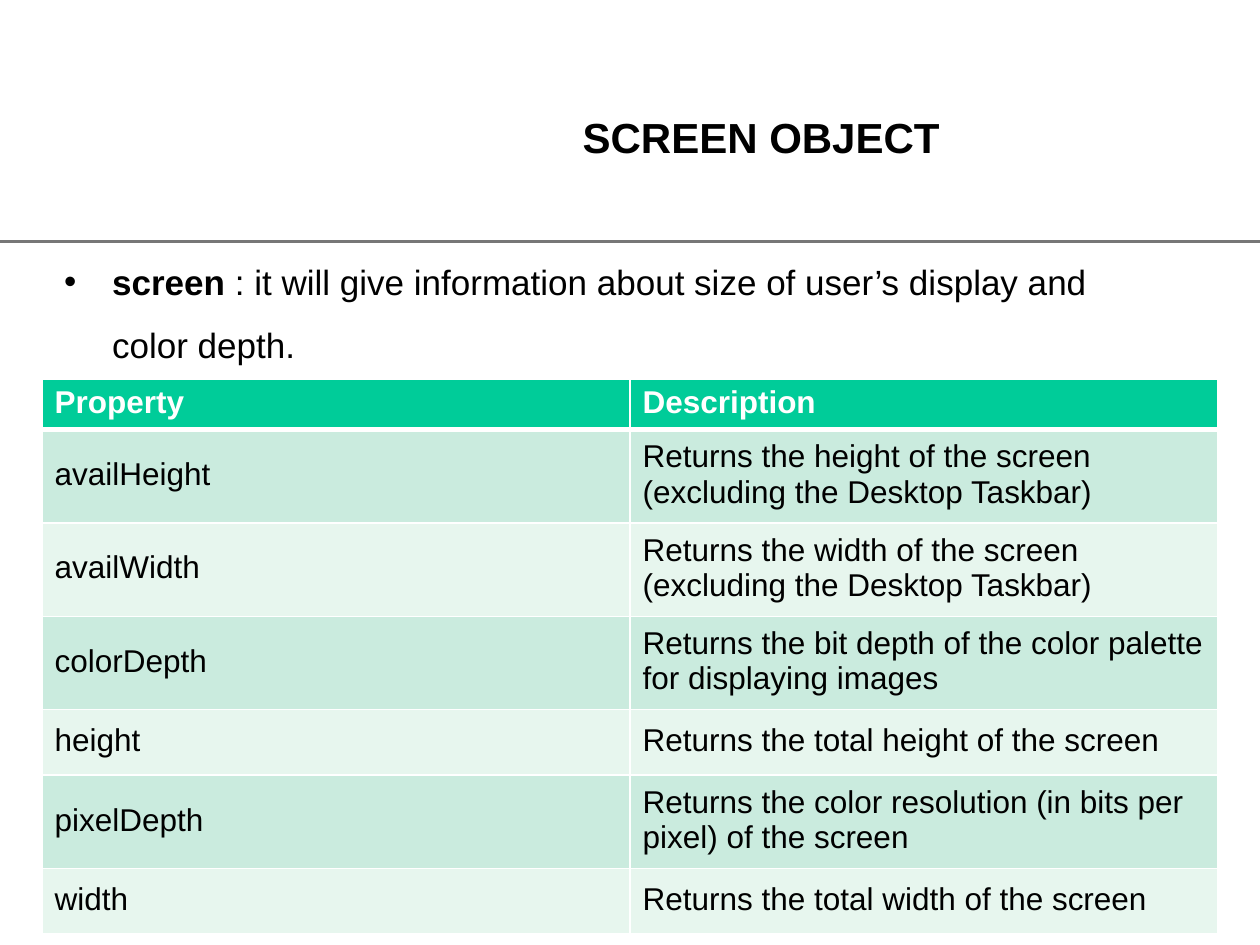
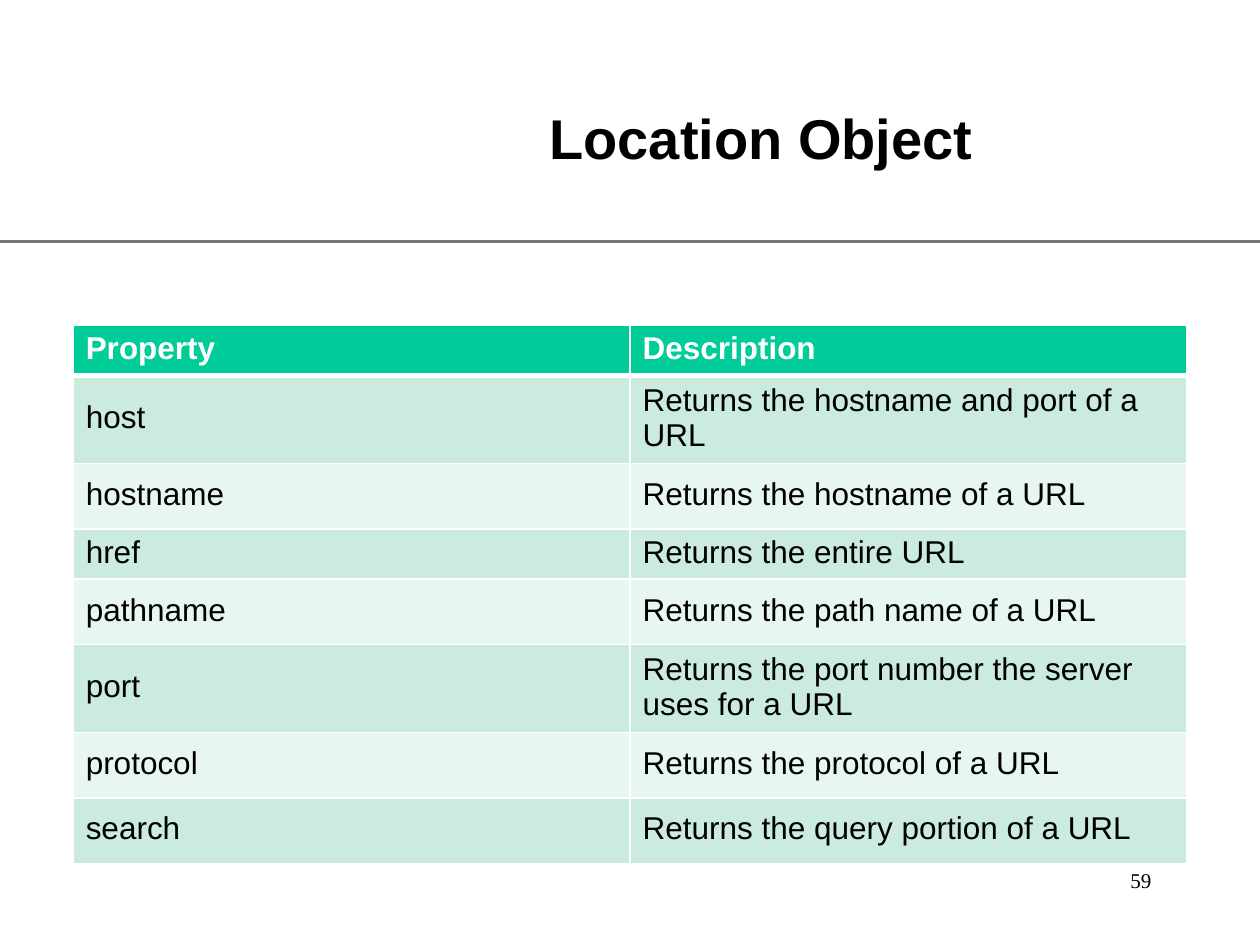
from lxml import etree
from pptx import Presentation
from pptx.dml.color import RGBColor
from pptx.enum.shapes import MSO_CONNECTOR
from pptx.enum.text import MSO_ANCHOR, PP_ALIGN
from pptx.oxml.ns import qn
from pptx.util import Pt

STRAIGHT = MSO_CONNECTOR.STRAIGHT
MIDDLE = MSO_ANCHOR.MIDDLE
CENTER = PP_ALIGN.CENTER

COLORS = {
    "text": "000000",
    "white": "FFFFFF",
    "rule": "777777",
    "header": "00CC99",
    "odd_row": "CAEBDE",
    "even_row": "E7F6EE",
}
SANS = "Arial"
SERIF = "Times New Roman"

SLIDE_WIDTH, SLIDE_HEIGHT = 720, 540
RULE_Y = 138
TITLE_CENTER = (435, 77.3)
HEADER_HEIGHT = 28.8
ONE_LINE, TWO_LINES = 37.4, 53.4

SCREEN_PROPERTIES = [
    ("availHeight", "Returns the height of the screen (excluding the Desktop Taskbar)", TWO_LINES),
    ("availWidth", "Returns the width of the screen (excluding the Desktop Taskbar)", TWO_LINES),
    ("colorDepth", "Returns the bit depth of the color palette for displaying images", TWO_LINES),
    ("height", "Returns the total height of the screen", ONE_LINE),
    ("pixelDepth", "Returns the color resolution (in bits per pixel) of the screen", TWO_LINES),
    ("width", "Returns the total width of the screen", ONE_LINE),
]
TIGHT_ONE, TIGHT_TWO = 28.8, 50.2
LOCATION_PROPERTIES = [
    ("host", "Returns the hostname and port of a URL", TIGHT_TWO),
    ("hostname", "Returns the hostname of a URL", ONE_LINE),
    ("href", "Returns the entire URL", TIGHT_ONE),
    ("pathname", "Returns the path name of a URL", ONE_LINE),
    ("port", "Returns the port number the server uses for a URL", TIGHT_TWO),
    ("protocol", "Returns the protocol of a URL", ONE_LINE),
    ("search", "Returns the query portion of a URL", ONE_LINE),
]


def rgb(name):
    return RGBColor.from_string(COLORS[name])


def style_runs(paragraph, size, color="text", bold=False, font=SANS):
    for run in paragraph.runs:
        run.font.name = font
        run.font.size = Pt(size)
        run.font.bold = bold
        run.font.color.rgb = rgb(color)


def set_margins(target, left=0, top=0, right=0, bottom=0):
    target.margin_left, target.margin_top = Pt(left), Pt(top)
    target.margin_right, target.margin_bottom = Pt(right), Pt(bottom)


def add_text_frame(slide, left, top, width, height, margin_top=1):
    box = slide.shapes.add_textbox(Pt(left), Pt(top), Pt(width), Pt(height))
    frame = box.text_frame
    frame.word_wrap = True
    set_margins(frame, top=margin_top)
    return frame


def add_rule(slide):
    rule = slide.shapes.add_connector(
        STRAIGHT, Pt(0), Pt(RULE_Y), Pt(SLIDE_WIDTH), Pt(RULE_Y))
    rule.line.color.rgb = rgb("rule")
    rule.line.width = Pt(2.04)
    etree.SubElement(rule._element.spPr, qn("a:effectLst"))


def add_title(slide, title, size, width):
    center_x, center_y = TITLE_CENTER
    height = size * 1.27
    frame = add_text_frame(slide, center_x - width / 2, center_y - height / 2,
                           width, height, margin_top=2)
    frame.word_wrap = False
    frame.vertical_anchor = MIDDLE
    frame.text = title
    frame.paragraphs[0].alignment = CENTER
    style_runs(frame.paragraphs[0], size, bold=True)


def add_definition(slide, term, meaning):
    """Add the bulleted line that opens with a bold term."""
    frame = add_text_frame(slide, 36, 135.4, 633.6, 74, margin_top=1.6)
    definition = frame.paragraphs[0]
    definition.line_spacing = Pt(36)
    for part in (term, meaning):
        definition.add_run().text = part
    style_runs(definition, 20)
    definition.runs[0].font.bold = True
    props = definition._p.get_or_add_pPr()
    props.set("marL", str(Pt(28.1)))
    props.set("indent", str(-Pt(27.4)))
    etree.SubElement(props, qn("a:buFont"), typeface=SANS)
    etree.SubElement(props, qn("a:buChar"), char="•")


def add_page_number(slide, number):
    frame = add_text_frame(slide, 646, 494.6, 14, 16.6)
    frame.word_wrap = False
    frame.text = str(number)
    style_runs(frame.paragraphs[0], 12, font=SERIF)


def set_borders(cell, top, bottom):
    props = cell._tc.get_or_add_tcPr()
    for side, width in (("L", 1), ("R", 1), ("T", top), ("B", bottom)):
        border = etree.SubElement(props, qn(f"a:ln{side}"), w=str(Pt(width)))
        fill = etree.SubElement(border, qn("a:solidFill"))
        etree.SubElement(fill, qn("a:srgbClr"), val=COLORS["white"])


def fill_cell(cell, text, row):
    is_header = row == 0
    set_borders(cell, top=3 if row == 1 else 1, bottom=3 if is_header else 1)
    cell.fill.solid()
    band = "odd_row" if row % 2 else "even_row"
    cell.fill.fore_color.rgb = rgb("header" if is_header else band)
    set_margins(cell, left=7.2, bottom=2)
    cell.vertical_anchor = MIDDLE
    cell.text = text
    style_runs(cell.text_frame.paragraphs[0], 18,
               "white" if is_header else "text", bold=is_header)


def add_property_table(slide, properties, top, width):
    """Add a centred two-column table; each property carries its row height."""
    rows = [("Property", "Description", HEADER_HEIGHT), *properties]
    heights = [height for _, _, height in rows]
    table = slide.shapes.add_table(
        len(rows), 2, Pt((SLIDE_WIDTH - width) / 2), Pt(top),
        Pt(width), Pt(sum(heights))).table
    table.horz_banding = False
    for column in table.columns:
        column.width = Pt(width / 2)
    for row, (name, description, height) in enumerate(rows):
        table.rows[row].height = Pt(height)
        fill_cell(table.cell(row, 0), name, row)
        fill_cell(table.cell(row, 1), description, row)


def add_object_slide(deck, title, title_size, title_width):
    slide = deck.slides.add_slide(deck.slide_layouts[6])
    add_rule(slide)
    add_title(slide, title, title_size, title_width)
    return slide


def main():
    deck = Presentation()
    deck.slide_width, deck.slide_height = Pt(SLIDE_WIDTH), Pt(SLIDE_HEIGHT)

    screen = add_object_slide(deck, "SCREEN OBJECT", 24, 206.6)
    add_definition(
        screen, "screen ",
        ": it will give information about size of user’s display and color depth.")
    add_property_table(screen, SCREEN_PROPERTIES, top=216.6, width=672)

    location = add_object_slide(deck, "Location Object", 32, 243.4)
    add_page_number(location, 59)
    add_property_table(location, LOCATION_PROPERTIES, top=185.8, width=636.4)

    deck.save("out.pptx")


if __name__ == "__main__":
    main()
